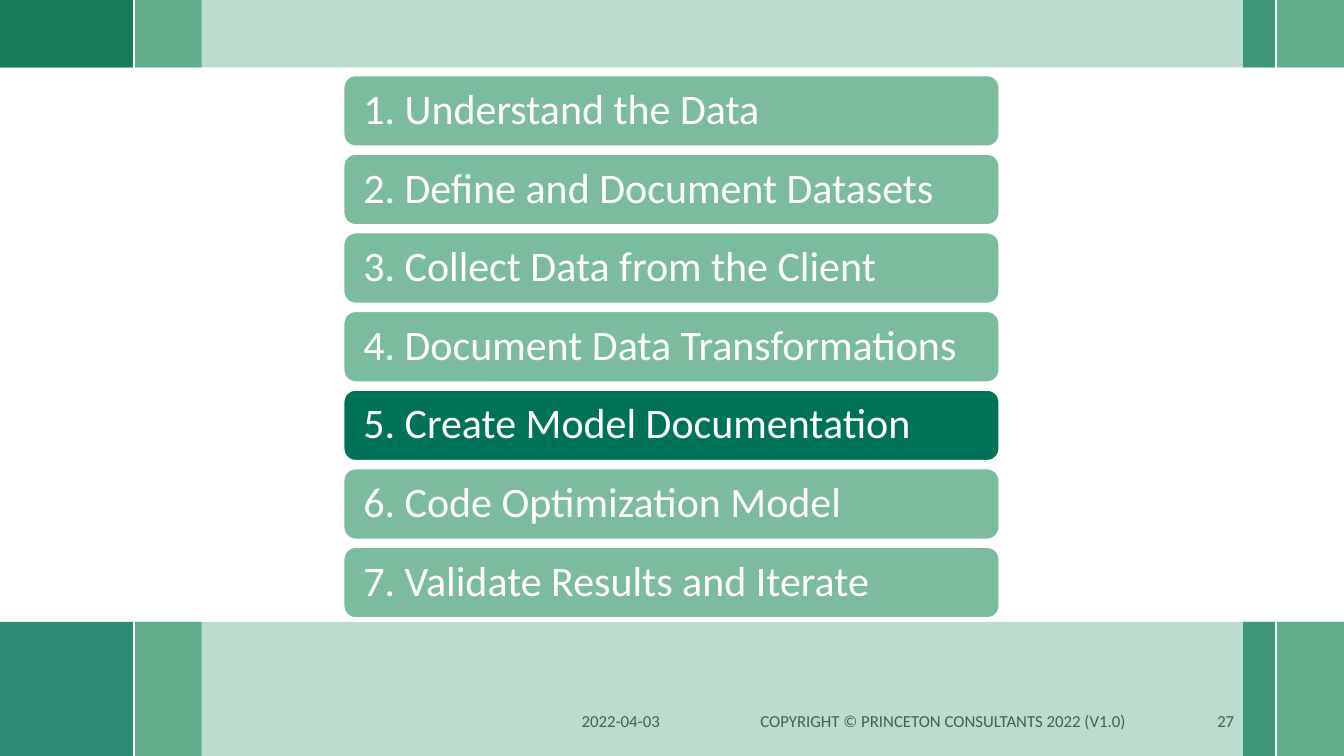
from dataclasses import dataclass

from lxml.etree import SubElement
from pptx import Presentation
from pptx.dml.color import RGBColor
from pptx.enum.shapes import MSO_CONNECTOR, MSO_SHAPE
from pptx.enum.text import MSO_ANCHOR, PP_ALIGN
from pptx.oxml.ns import qn
from pptx.util import Inches, Pt

SLIDE_WIDTH, SLIDE_HEIGHT = 13.33, 7.5
DARK, MEDIUM, LIGHT = "007257", "4A9F7B", "7BBB9E"
OLIVE, SLATE, WHITE = "3F762B", "455F51", "FFFFFF"


@dataclass
class Block:
    left: float
    width: float
    color: str
    opacity: int = 100


@dataclass
class Band:
    top: float
    height: float
    blocks: list[Block]


@dataclass
class FooterItem:
    text: str
    left: float
    width: float
    align: PP_ALIGN


RIGHT_END = Block(12.66, 0.67, MEDIUM)
RIGHT_STRIP = Block(12.33, 0.33, DARK)
LEFT_STRIP = Block(1.33, 0.67, MEDIUM)
CORNER_BASE = Block(0, 1.33, OLIVE)
VEIL = Block(0, SLIDE_WIDTH, LIGHT, 50)
CORNER = Block(0, 1.33, DARK, 75)

BANDS = [
    Band(6.17, 1.33, [RIGHT_END, RIGHT_STRIP, LEFT_STRIP, VEIL, CORNER]),
    Band(0, 0.67, [RIGHT_END, RIGHT_STRIP, LEFT_STRIP, CORNER_BASE, VEIL, CORNER]),
]
DIVIDERS = [1.33, 12.66]

FOOTER = [
    FooterItem("2022-04-03", 5.67, 1.33, PP_ALIGN.LEFT),
    FooterItem("COPYRIGHT © PRINCETON CONSULTANTS 2022 (V1.0)", 7.16, 4.39, PP_ALIGN.CENTER),
    FooterItem("27", 11.67, 0.67, PP_ALIGN.RIGHT),
]

STEPS = [
    "Understand the Data",
    "Define and Document Datasets",
    "Collect Data from the Client",
    "Document Data Transformations",
    "Create Model Documentation",
    "Code Optimization Model",
    "Validate Results and Iterate",
]
CURRENT_STEP = 5
STEP_TOP, STEP_PITCH = 0.75, 0.78


def rgb(color: str) -> RGBColor:
    return RGBColor.from_string(color)


def add_filled_shape(slide, kind: MSO_SHAPE, left: float, top: float, width: float,
                     height: float, color: str, opacity: int = 100):
    shape = slide.shapes.add_shape(kind, Inches(left), Inches(top), Inches(width), Inches(height))
    shape.shadow.inherit = False
    shape.fill.solid()
    shape.fill.fore_color.rgb = rgb(color)
    shape.line.fill.background()
    if opacity < 100:
        color_element = shape.fill._xPr.find(qn("a:solidFill"))[0]
        SubElement(color_element, qn("a:alpha")).set("val", str(opacity * 1000))
    return shape


def set_text(shape, text: str, *, size: float, color: str, align: PP_ALIGN = PP_ALIGN.LEFT,
             inset: tuple[float, float] = (0.1, 0.05), line_spacing: float = 1.0) -> None:
    frame = shape.text_frame
    frame.word_wrap = True
    frame.vertical_anchor = MSO_ANCHOR.MIDDLE
    frame.margin_left = frame.margin_right = Inches(inset[0])
    frame.margin_top = frame.margin_bottom = Inches(inset[1])
    paragraph = frame.paragraphs[0]
    paragraph.alignment = align
    paragraph.line_spacing = line_spacing
    run = paragraph.add_run()
    run.text = text
    run.font.name = "Calibri"
    run.font.size = Pt(size)
    run.font.color.rgb = rgb(color)


def add_divider(slide, left: float, top: float, height: float) -> None:
    divider = slide.shapes.add_connector(
        MSO_CONNECTOR.STRAIGHT, Inches(left), Inches(top), Inches(left), Inches(top + height))
    divider.line.color.rgb = rgb(WHITE)
    divider.line.width = Pt(1.5)
    SubElement(divider._element.spPr, qn("a:effectLst"))


def add_band(slide, band: Band) -> None:
    for block in band.blocks:
        add_filled_shape(slide, MSO_SHAPE.RECTANGLE, block.left, band.top, block.width,
                         band.height, block.color, block.opacity)
    for left in DIVIDERS:
        add_divider(slide, left, band.top, band.height)


def add_footer_item(slide, item: FooterItem) -> None:
    box = slide.shapes.add_textbox(Inches(item.left), Inches(6.95), Inches(item.width), Inches(0.4))
    set_text(box, item.text, size=12, color=SLATE, align=item.align)


def add_step(slide, number: int, title: str) -> None:
    top = STEP_TOP + (number - 1) * STEP_PITCH
    color = DARK if number == CURRENT_STEP else LIGHT
    shape = add_filled_shape(slide, MSO_SHAPE.ROUNDED_RECTANGLE, 3.41, top, 6.5, 0.7, color)
    shape.line.color.rgb = rgb(WHITE)
    shape.line.width = Pt(1)
    set_text(shape, f"{number}. {title}", size=30, color=WHITE, inset=(0.16, 0.16),
             line_spacing=0.9)


def main() -> None:
    presentation = Presentation()
    presentation.slide_width = Inches(SLIDE_WIDTH)
    presentation.slide_height = Inches(SLIDE_HEIGHT)
    slide = presentation.slides.add_slide(presentation.slide_layouts[6])

    # Decorative bands
    for band in BANDS:
        add_band(slide, band)

    # Footer
    for item in FOOTER:
        add_footer_item(slide, item)

    # Process steps
    for number, title in enumerate(STEPS, start=1):
        add_step(slide, number, title)

    presentation.save("out.pptx")


if __name__ == "__main__":
    main()
